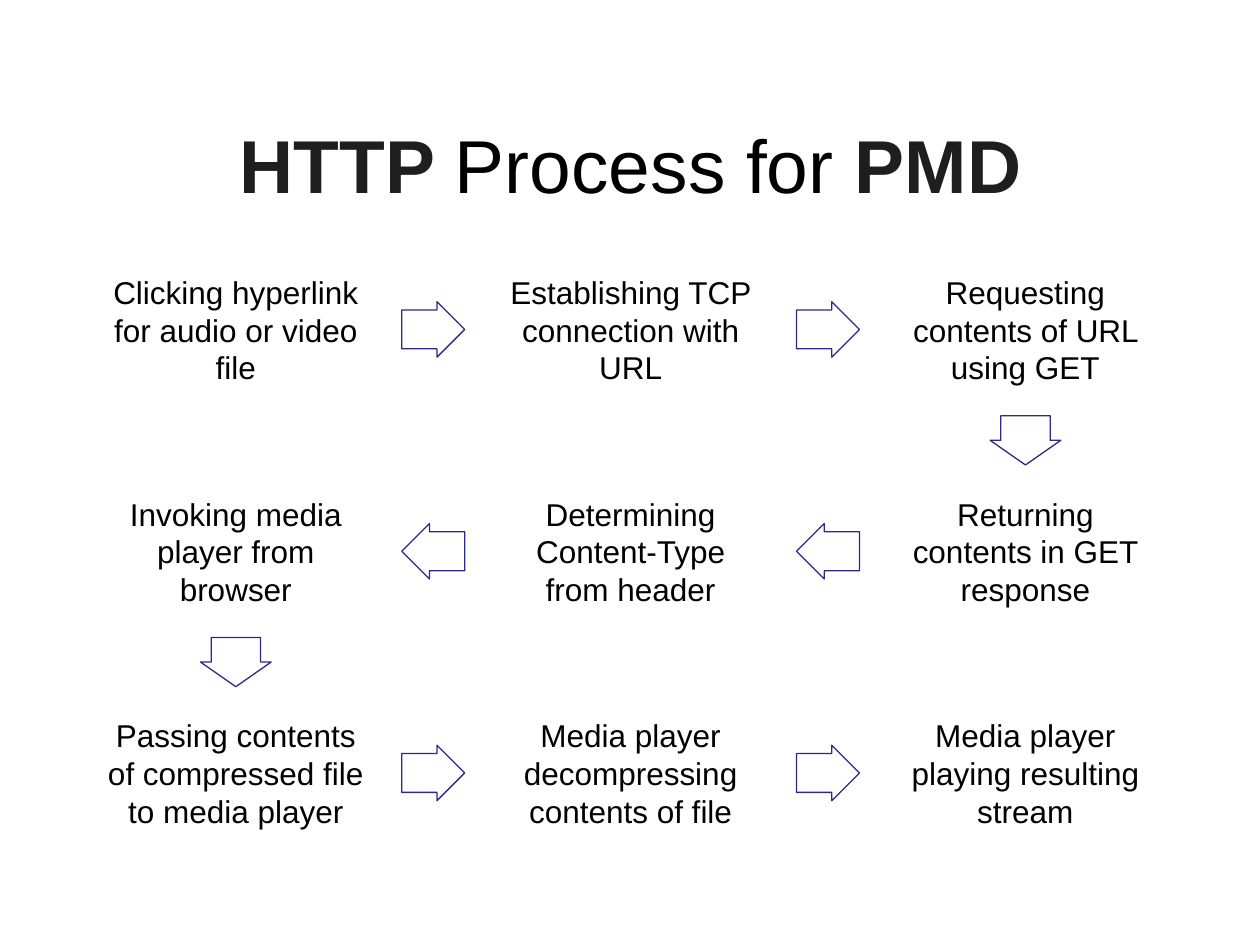
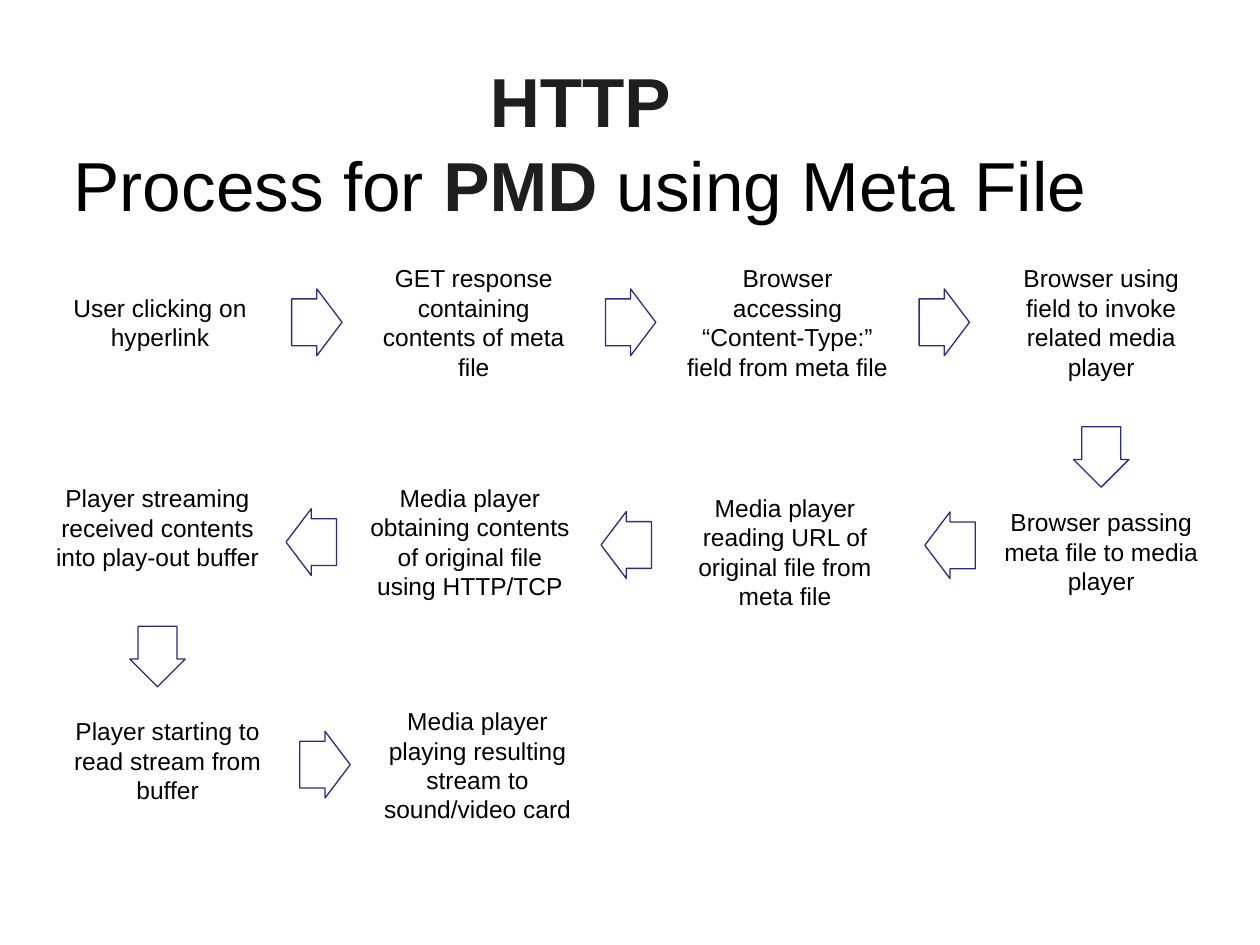
"""Build two slides that show HTTP processes as winding flows of steps."""
from dataclasses import dataclass

import pptx
import pptx.dml.color
import pptx.enum.shapes
import pptx.enum.text
import pptx.util

GRID_COLUMNS, GRID_ROWS = 100, 75
SLIDE_WIDTH, SLIDE_HEIGHT = pptx.util.Inches(10), pptx.util.Inches(7.5)
TITLE_ONLY = 5


@dataclass(frozen=True)
class Theme:
    """Colours, font and type sizes that the slides share."""
    font: str = "Arial"
    ink: str = "000000"
    strong: str = "1E1E1E"
    outline: str = "2A2A89"
    outline_width: float = 0.75
    title_inset: float = 0.6
    step_inset: float = 0.5
    line_height: float = 0.17


@dataclass(frozen=True)
class FlowStyle:
    """Type size and grid sizes of the parts of one flow."""
    text_size: float
    step_width: float
    across_arrow: tuple
    down_arrow: tuple


@dataclass(frozen=True)
class Step:
    """One step, its line count, and shifts of it and of the arrow after it."""
    text: str
    lines: int = 3
    shift: tuple = (0, 0)
    arrow_shift: tuple = (0, 0)


THEME = Theme()


def across(columns):
    """Turn grid columns into a length."""
    return round(SLIDE_WIDTH * columns / GRID_COLUMNS)


def down(rows):
    """Turn grid rows into a length."""
    return round(SLIDE_HEIGHT * rows / GRID_ROWS)


def centred_box(centre, size):
    """Return left, top, width and height of a box about its centre."""
    (x, y), (width, height) = centre, size
    return across(x - width / 2), down(y - height / 2), across(width), down(height)


def colour(value):
    """Return a colour from its hex value."""
    return pptx.dml.color.RGBColor.from_string(value)


def format_frame(frame, inset):
    """Wrap a text frame, centre it vertically and set its insets."""
    frame.word_wrap = True
    frame.auto_size = pptx.enum.text.MSO_AUTO_SIZE.NONE
    frame.vertical_anchor = pptx.enum.text.MSO_ANCHOR.MIDDLE
    frame.margin_left = frame.margin_right = across(inset)
    frame.margin_top = frame.margin_bottom = down(inset)


def format_para(para, size):
    """Centre a paragraph and set its font."""
    para.alignment = pptx.enum.text.PP_ALIGN.CENTER
    para.font.name = THEME.font
    para.font.size = pptx.util.Pt(size)
    para.font.color.rgb = colour(THEME.ink)


def fill_title(page, box, size, lines):
    """Place the title and write its lines of (text, is strong) spans."""
    title = page.shapes.title
    left, top, width, height = box
    title.left, title.top = across(left), down(top)
    title.width, title.height = across(width), down(height)
    format_frame(title.text_frame, THEME.title_inset)
    para = title.text_frame.paragraphs[0]
    format_para(para, size)
    for index, spans in enumerate(lines):
        if index:
            para.add_line_break()
        for text, is_strong in spans:
            span = para.add_run()
            span.text = text
            span.font.bold = is_strong
            span.font.color.rgb = colour(THEME.strong if is_strong else THEME.ink)


def add_step(page, centre, step, style):
    """Add the text of one step about its centre."""
    height = 2 * THEME.step_inset + step.lines * style.text_size * THEME.line_height
    box = page.shapes.add_textbox(*centred_box(centre, (style.step_width, height)))
    format_frame(box.text_frame, THEME.step_inset)
    para = box.text_frame.paragraphs[0]
    para.text = step.text
    format_para(para, style.text_size)


def add_arrow(page, centre, size, rotation):
    """Add an outlined block arrow about its centre."""
    arrow = page.shapes.add_shape(
        pptx.enum.shapes.MSO_SHAPE.RIGHT_ARROW, *centred_box(centre, size))
    arrow.adjustments[0], arrow.adjustments[1] = 0.7, 0.5
    arrow.rotation = rotation
    arrow.shadow.inherit = False
    arrow.fill.background()
    arrow.line.color.rgb = colour(THEME.outline)
    arrow.line.width = pptx.util.Pt(THEME.outline_width)


def add_flow(page, box, columns, rows, steps, style):
    """Lay steps out in a box, turning at each row end, with arrows between."""
    left, top, width, height = box
    places = []
    for index, step in enumerate(steps):
        row, column = divmod(index, columns)
        if row % 2:
            column = columns - 1 - column
        x = left + (column + 0.5) * width / columns + step.shift[0]
        y = top + (row + 0.5) * height / rows + step.shift[1]
        places.append((x, y))
        add_step(page, (x, y), step, style)
    for index, (start, end) in enumerate(zip(places, places[1:])):
        centre = [(a + b) / 2 + shift
                  for a, b, shift in zip(start, end, steps[index].arrow_shift)]
        if (index + 1) % columns == 0:
            add_arrow(page, centre, style.down_arrow, 90)
        else:
            backwards = index // columns % 2
            add_arrow(page, centre, style.across_arrow, 180 * backwards)


def build_process(deck):
    """Build the slide of the direct process."""
    page = deck.slides.add_slide(deck.slide_layouts[TITLE_ONLY])
    fill_title(page, (7.5, 6.7, 85.1, 12.5), 42.8,
               [[("HTTP ", True), ("Process for ", False), ("PMD", True)]])
    steps = [
        Step("Clicking hyperlink for audio or video file"),
        Step("Establishing TCP connection with URL"),
        Step("Requesting contents of URL using GET"),
        Step("Returning contents in GET response"),
        Step("Determining Content-Type from header"),
        Step("Invoking media player from browser"),
        Step("Passing contents of compressed file to media player"),
        Step("Media player decompressing contents of file"),
        Step("Media player playing resulting stream"),
    ]
    style = FlowStyle(18, 21.6, (5, 4.4), (3.9, 5.6))
    add_flow(page, (3.05, 17.35, 94, 52.8), 3, 3, steps, style)


def build_meta_file_process(deck):
    """Build the slide of the process that uses a meta file."""
    page = deck.slides.add_slide(deck.slide_layouts[TITLE_ONLY])
    fill_title(page, (3.5, 5, 85.1, 12.5), 39.6,
               [[("HTTP", True)],
                [("Process for ", False), ("PMD ", True), ("using Meta File", False)]])
    steps = [
        Step("User clicking on hyperlink", 2),
        Step("GET response containing contents of meta file", 4),
        Step("Browser accessing “Content-Type:” field from meta file", 4),
        Step("Browser using field to invoke related media player", 4,
             arrow_shift=(0, 1.6)),
        Step("Browser passing meta file to media player", 3, (0, 0.6), (0.55, -0.5)),
        Step("Media player reading URL of original file from meta file", 4,
             (-0.2, 0.65), (-0.1, -0.15)),
        Step("Media player obtaining contents of original file using HTTP/TCP", 4,
             (-0.3, -0.15), (-0.2, 0.6)),
        Step("Player streaming received contents into play-out buffer", 3,
             (-0.2, -1.3), (-0.4, 1)),
        Step("Player starting to read stream from buffer", 3,
             (0.6, -0.35), (0.2, 0.15)),
        Step("Media player playing resulting stream to sound/video card", 4, (0.3, 0)),
    ]
    style = FlowStyle(14, 17.2, (4, 5.3), (4.8, 4.4))
    add_flow(page, (0.25, 16.8, 99.6, 52.7), 4, 3, steps, style)


def main():
    """Build the deck and save it."""
    deck = pptx.Presentation()
    deck.slide_width, deck.slide_height = SLIDE_WIDTH, SLIDE_HEIGHT
    build_process(deck)
    build_meta_file_process(deck)
    deck.save("out.pptx")


if __name__ == "__main__":
    main()
